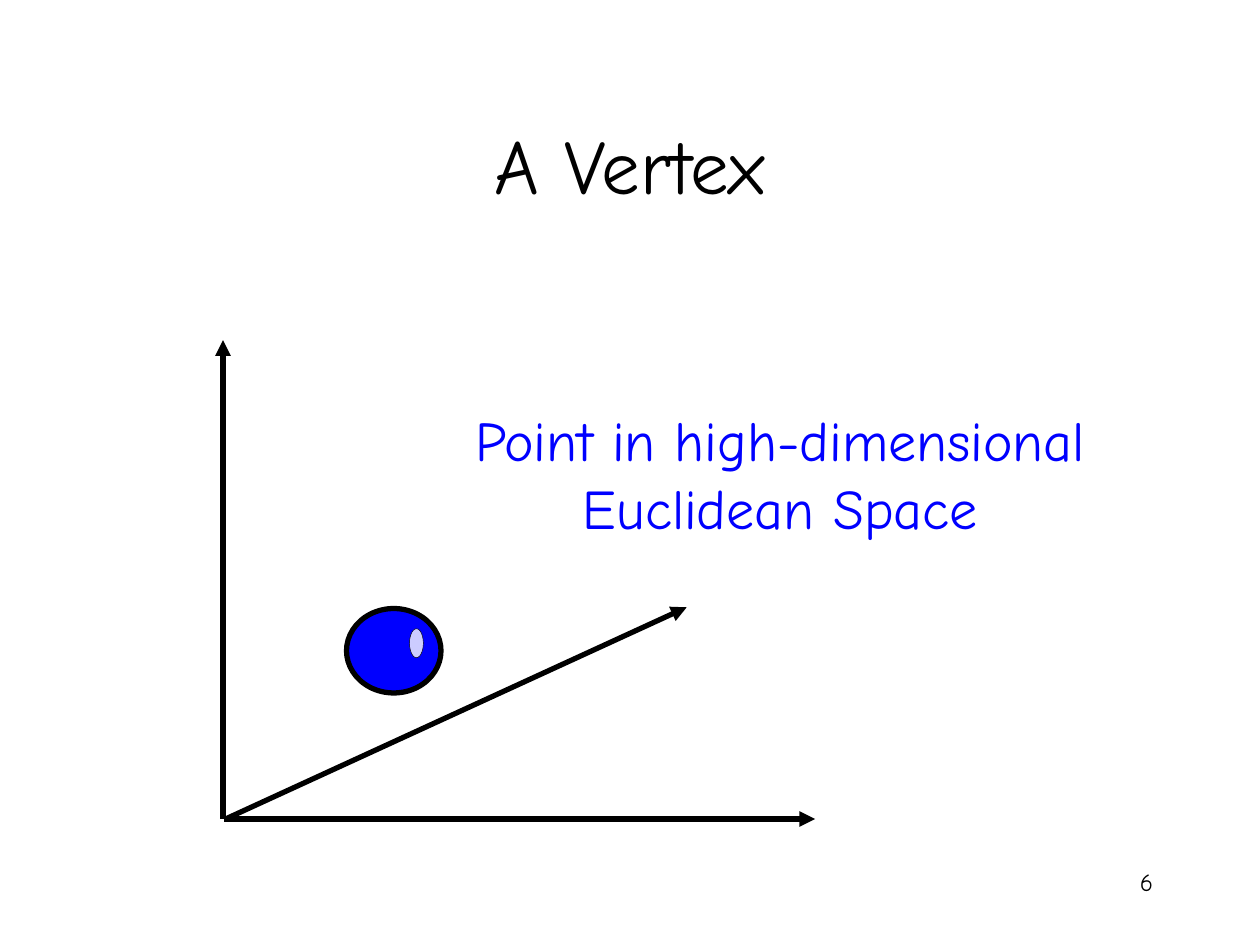
from lxml.etree import SubElement
from pptx import Presentation
from pptx.dml.color import RGBColor
from pptx.enum.shapes import MSO_CONNECTOR, MSO_SHAPE
from pptx.enum.text import MSO_ANCHOR, PP_ALIGN
from pptx.oxml.ns import qn
from pptx.util import Inches, Pt


def color(hex_value):
    return RGBColor.from_string(hex_value)


def add_text(text, box, size, hex_value, align, anchor):
    """Add a wrapped one-paragraph text box and return its paragraph."""
    tf = s.shapes.add_textbox(*map(Inches, box)).text_frame
    tf.word_wrap = True
    tf.vertical_anchor = anchor
    p = tf.paragraphs[0]
    p.text = text
    p.alignment = align
    p.font.name = "Comic Neue"
    p.font.size = Pt(size)
    p.font.color.rgb = color(hex_value)
    return p


prs = Presentation()
prs.slide_width, prs.slide_height = Inches(10), Inches(7.5)
s = prs.slides.add_slide(prs.slide_layouts[6])

add_text("A Vertex", (0.75, 0.67, 8.5, 1.25), 44, "000000",
         PP_ALIGN.CENTER, MSO_ANCHOR.MIDDLE)

# Axes: start and tip of each arrow
axes = [
    (1.77, 6.5, 1.77, 2.7),
    (1.78, 6.5, 6.47, 6.5),
    (1.79, 6.5, 5.45, 4.82),
]
for axis in axes:
    line = s.shapes.add_connector(MSO_CONNECTOR.STRAIGHT, *map(Inches, axis))
    line.line.color.rgb = color("000000")
    line.line.width = Pt(3)
    SubElement(line.line._get_or_add_ln(), qn("a:tailEnd"), type="triangle")
    SubElement(line._element.spPr, qn("a:effectLst"))

p = add_text("Point in high-dimensional Euclidean Space",
             (3.33, 3.17, 5.73, 1.17), 32, "0000FF",
             PP_ALIGN.CENTER, MSO_ANCHOR.MIDDLE)
p.space_before = Pt(20)

# The vertex and its highlight
ellipses = [
    ((2.75, 4.83, 0.75, 0.67), "0000FF", 3),
    ((3.25, 4.99, 0.11, 0.23), "CCCCFF", 0.25),
]
for box, fill, width in ellipses:
    sp = s.shapes.add_shape(MSO_SHAPE.OVAL, *map(Inches, box))
    sp.shadow.inherit = False
    sp.fill.solid()
    sp.fill.fore_color.rgb = color(fill)
    sp.line.color.rgb = color("000000")
    sp.line.width = Pt(width)

add_text("6", (7.17, 6.83, 2.08, 0.5), 14, "000000",
         PP_ALIGN.RIGHT, MSO_ANCHOR.TOP)

prs.save("out.pptx")
